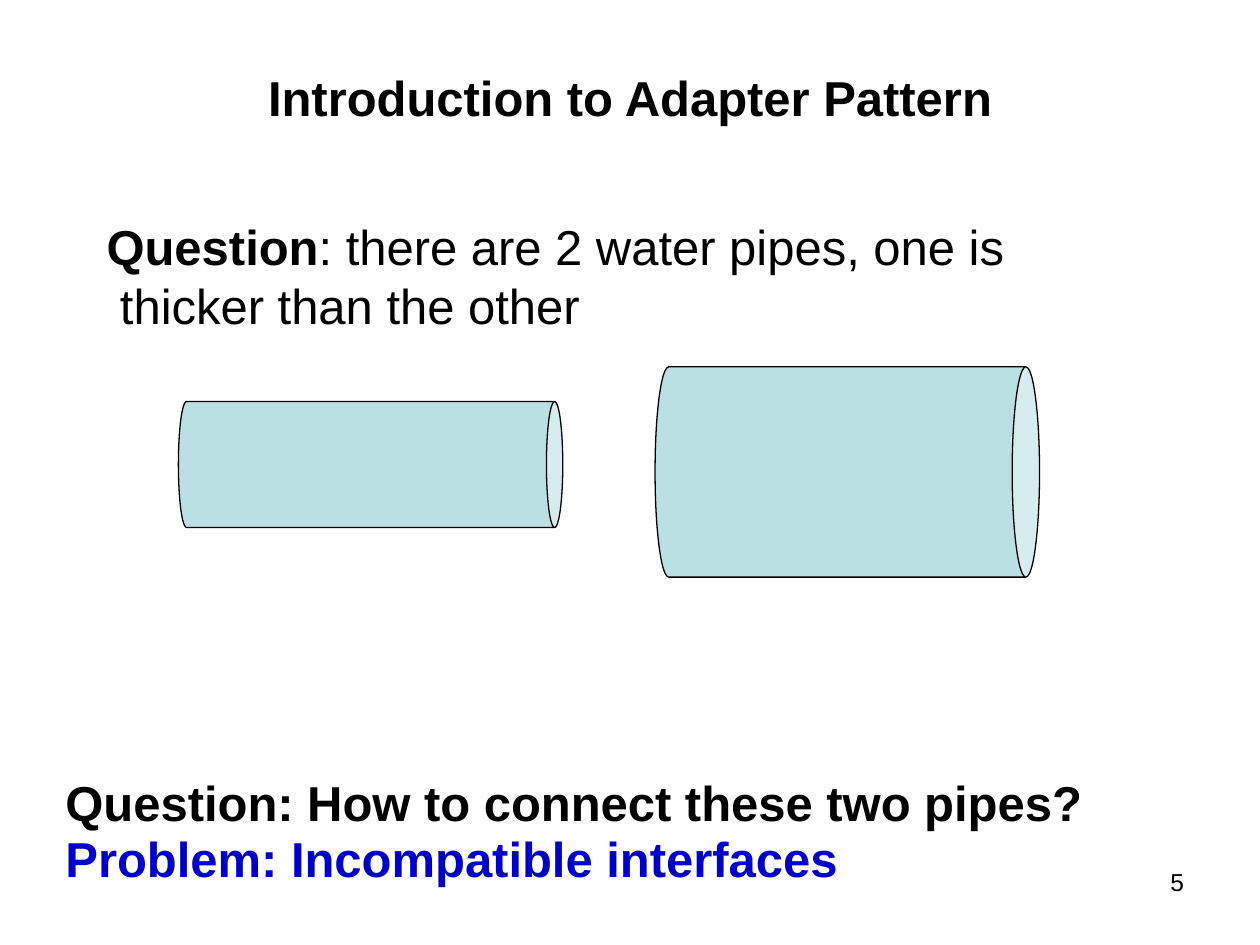
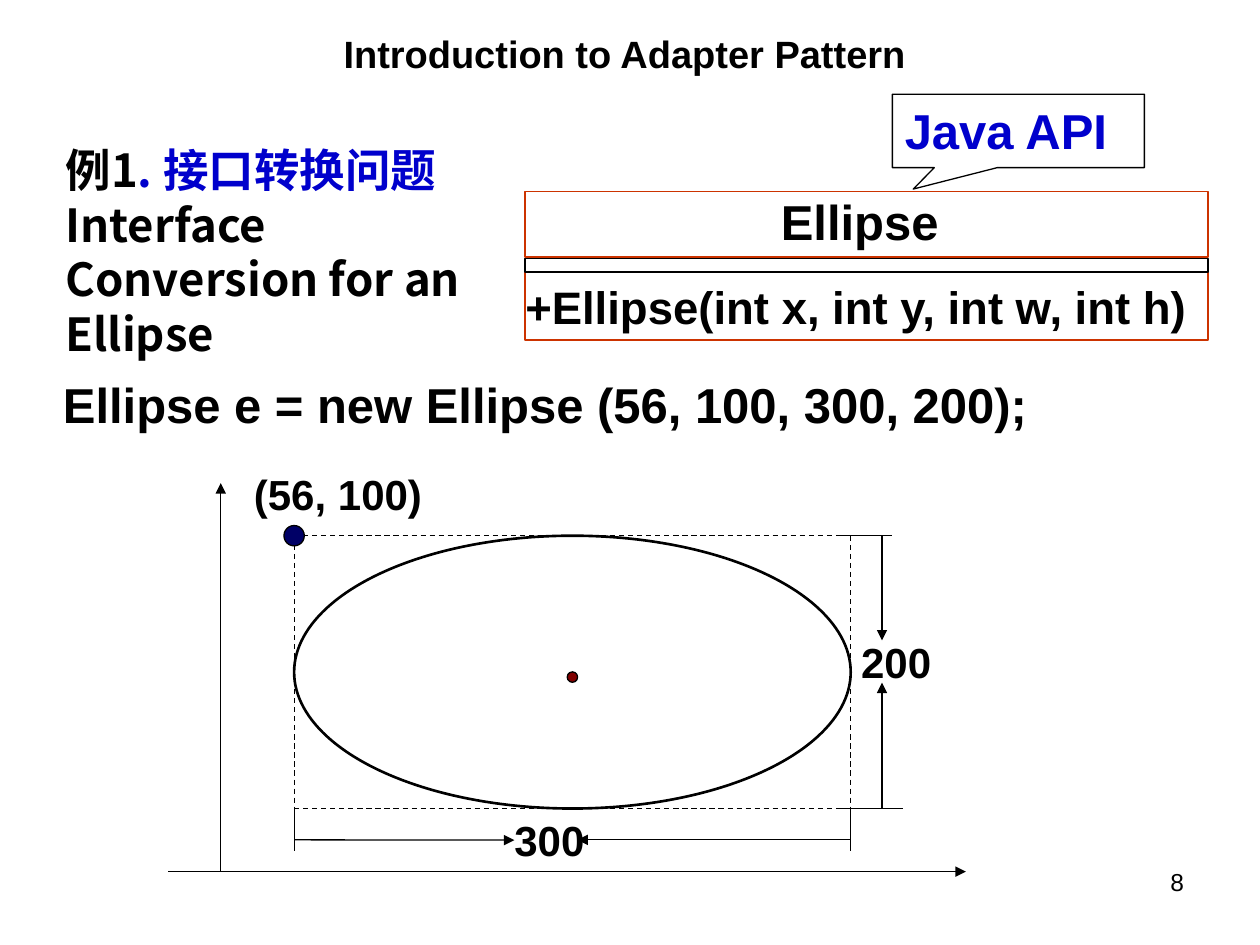
from lxml.etree import SubElement
from pptx import Presentation
from pptx.dml.color import RGBColor
from pptx.enum.dml import MSO_LINE_DASH_STYLE as Dash
from pptx.enum.shapes import MSO_CONNECTOR as Conn, MSO_SHAPE as Kind
from pptx.enum.text import MSO_ANCHOR as Anchor, MSO_AUTO_SIZE as Auto, PP_ALIGN as Align
from pptx.oxml.ns import qn
from pptx.util import Cm, Pt

BLACK, WHITE, BLUE = "000000", "FFFFFF", "0000CC"
AQUA, RED, NAVY, MAROON = "BBE0E3", "CC3300", "000066", "800000"
LATIN, HAN = "Arial", "Noto Sans CJK SC"
TITLE = "Introduction to Adapter Pattern"

# Boxes are left, top, width, height in cm; a run is text, colour, bold.
NUM_BOX = (18.2, 17.35, 5.92, 1.32)
PIPES = [(6.2, 5.49, 2.54, 7.75), (14.96, 5.64, 4.24, 7.75)]
ASK = [[("Question", BLACK, True),
        (": there are 2 water pipes, one is thicker than the other", BLACK, False)]]
ISSUE = [[("Question: How to connect these two pipes?", BLACK, True)],
         [("Problem: Incompatible interfaces", BLUE, True)]]
CASE = [[("例1", BLACK, True), (". 接口转换问题", BLUE, True),
         ("Interface Conversion for an Ellipse", BLACK, True)]]

CLASS_X, CLASS_W = 10.59, 13.76
AXES = [(3.39, 17.57, 19.47, 17.57), (4.45, 17.57, 4.45, 9.74)]
LEFT, TOP, RIGHT, BOTTOM = 5.93, 10.8, 17.15, 16.3
DIM_X, DIM_Y = 17.78, 16.93
EDGES = [(LEFT, TOP, LEFT, BOTTOM), (LEFT, BOTTOM, RIGHT, BOTTOM),
         (RIGHT, TOP, RIGHT, BOTTOM), (LEFT, TOP, RIGHT, TOP)]
TICKS = [(16.93, TOP, 17.99, TOP), (16.93, BOTTOM, 18.2, BOTTOM),
         (LEFT, BOTTOM, LEFT, 17.15), (RIGHT, BOTTOM, RIGHT, 17.15)]
ARROWS = [(DIM_X, TOP, DIM_X, 12.91), (DIM_X, BOTTOM, DIM_X, 13.76),
          (RIGHT, DIM_Y, 11.64, DIM_Y)]
DOTS = [(11.54, 13.65, 0.21, MAROON), (LEFT, TOP, 0.41, NAVY)]


def rgb(code):
    return RGBColor.from_string(code)


def bold(text, color=BLACK):
    return [[(text, color, True)]]


def place(shape, box):
    shape.left, shape.top, shape.width, shape.height = map(Cm, box)


def write(shape, paras, size, align=Align.LEFT, font=LATIN, pad=0.25,
          anchor=Anchor.TOP, space=None):
    frame = shape.text_frame
    frame.word_wrap, frame.auto_size = True, Auto.NONE
    frame.vertical_anchor = anchor
    frame.margin_left = frame.margin_right = Cm(pad)
    frame.margin_top = frame.margin_bottom = Cm(0.13)
    for i, runs in enumerate(paras):
        para = frame.add_paragraph() if i else frame.paragraphs[0]
        para.alignment = align
        if space:
            para.line_spacing = space
        for text, color, heavy in runs:
            run = para.add_run()
            run.text = text
            run.font.name, run.font.size, run.font.bold = font, Pt(size), heavy
            run.font.color.rgb = rgb(color)
            SubElement(run.font._element, qn("a:ea"), typeface=font)
    return shape


def label(slide, box, paras, size, **style):
    item = slide.shapes.add_textbox(*map(Cm, box))
    return write(item, paras, size, **style)


def solid(slide, kind, box, fill=None, line=BLACK, width=0.75):
    item = slide.shapes.add_shape(kind, *map(Cm, box))
    item.shadow.inherit = False
    if fill:
        item.fill.solid()
        item.fill.fore_color.rgb = rgb(fill)
    else:
        item.fill.background()
    item.line.color.rgb, item.line.width = rgb(line), Pt(width)
    return item


def link(slide, ends, arrow=False, dash=False):
    item = slide.shapes.add_connector(Conn.STRAIGHT, *map(Cm, ends))
    item.line.color.rgb, item.line.width = rgb(BLACK), Pt(0.75)
    if dash:
        item.line.dash_style = Dash.DASH
    if arrow:
        SubElement(item.line._get_or_add_ln(), qn("a:tailEnd"), type="triangle")
    SubElement(item._element.spPr, qn("a:effectLst"))
    return item


def start(deck, number, box, size):
    """Add a slide with its title and page number."""
    slide = deck.slides.add_slide(deck.slide_layouts[5])
    title = slide.shapes.title
    place(title, box)
    write(title, bold(TITLE), size, align=Align.CENTER, anchor=Anchor.MIDDLE)
    label(slide, NUM_BOX, [[(number, BLACK, False)]], 14, align=Align.RIGHT)
    return slide


def pipes(deck):
    slide = start(deck, "5", (1.27, 1.07, 22.86, 1.78), 28)
    for box in PIPES:
        pipe = solid(slide, Kind.CAN, box, AQUA)
        pipe.adjustments[0] = 0.13
        pipe.rotation = 90
    label(slide, (1.07, 15.54, 21.59, 2.51), ISSUE, 28, space=0.95)
    ask = label(slide, (1.9, 4.24, 19.69, 2.64), ASK, 28)
    props = ask.text_frame.paragraphs[0]._p.get_or_add_pPr()
    props.set("marL", str(Cm(0.27)))
    props.set("indent", str(-Cm(0.27)))


def uml(slide):
    """Draw the class box with its callout."""
    sign = solid(slide, Kind.RECTANGLE, (CLASS_X, 5.49, CLASS_W, 1.37), WHITE, RED, 1)
    write(sign, bold("+Ellipse(int x, int y, int w, int h)"), 26, pad=0)
    name = solid(slide, Kind.RECTANGLE, (CLASS_X, 3.86, CLASS_W, 1.32), WHITE, RED, 1)
    write(name, bold("Ellipse "), 28, align=Align.CENTER, space=0.9)
    solid(slide, Kind.RECTANGLE, (CLASS_X, 5.21, CLASS_W, 0.28), WHITE, width=1)
    note = solid(slide, Kind.RECTANGULAR_CALLOUT, (17.99, 1.9, 5.08, 1.48), WHITE)
    note.adjustments[0], note.adjustments[1] = -0.417, 0.792
    write(note, bold("Java API", BLUE), 28)


def plot(slide):
    """Draw the axes, the ellipse and its dimensions."""
    for ends in AXES:
        link(slide, ends, arrow=True)
    solid(slide, Kind.OVAL, (LEFT, TOP, RIGHT - LEFT, BOTTOM - TOP), width=1.5)
    label(slide, (4.87, 9.31, 4.02, 1.27), bold("(56, 100)"), 24)
    label(slide, (17.36, 12.7, 1.9, 1.27), bold("200"), 24, pad=0)
    wide = label(slide, (10.37, 16.3, 1.9, 1.27), bold("300"), 24, pad=0)
    for ends in EDGES:
        link(slide, ends, dash=True)
    for ends in TICKS:
        link(slide, ends)
    for ends in ARROWS:
        link(slide, ends, arrow=True)
    span = link(slide, (LEFT, DIM_Y, 10.37, DIM_Y), arrow=True)
    span.end_connect(wide, 1)
    for x, y, size, color in DOTS:
        solid(slide, Kind.OVAL, (x - size / 2, y - size / 2, size, size), color)


def ellipse(deck):
    slide = start(deck, "8", (4.24, 0.43, 16.71, 1.27), 21.7)
    uml(slide)
    label(slide, (1.07, 2.74, 8.69, 4.67), CASE, 26, font=HAN)
    label(slide, (1.02, 7.42, 20.57, 1.45),
          bold("Ellipse e = new Ellipse (56, 100, 300, 200);"), 28)
    plot(slide)


def main():
    deck = Presentation()
    deck.slide_width, deck.slide_height = Cm(25.4), Cm(19.05)
    pipes(deck)
    ellipse(deck)
    deck.save("out.pptx")


if __name__ == "__main__":
    main()
